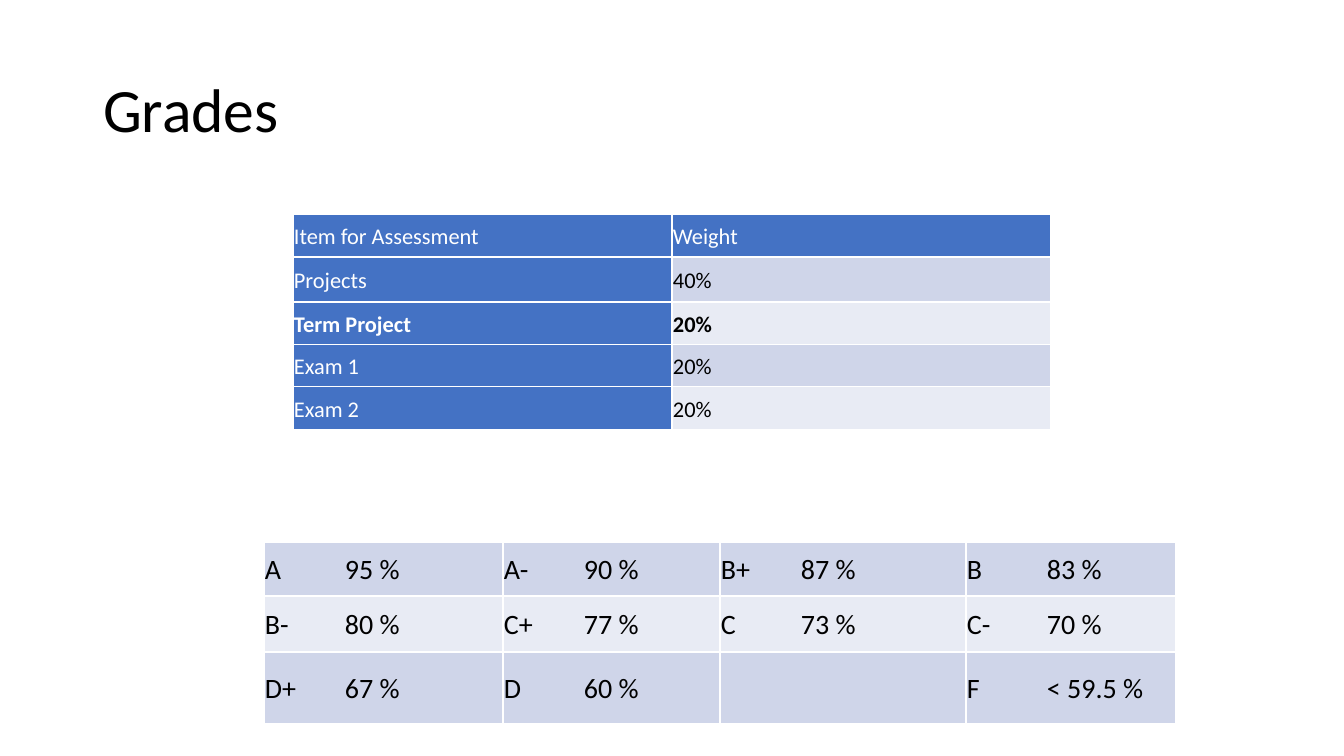
from lxml import etree
from pptx import Presentation
from pptx import util as u
from pptx.dml.color import RGBColor
from pptx.enum import text

# Content
TITLE = "Grades"
CUTOFFS = [
    [("A", "95 %"), ("A-", "90 %"), ("B+", "87 %"), ("B", "83 %")],
    [("B-", "80 %"), ("C+", "77 %"), ("C", "73 %"), ("C-", "70 %")],
    [("D+", "67 %"), ("D", "60 %"), (), ("F", "< 59.5 %")],
]
WEIGHTS = [
    ("Item for Assessment", "Weight"),
    ("Projects", "40%"),
    ("Term Project", "20%"),
    ("Exam 1", "20%"),
    ("Exam 2", "20%"),
]
EMPHASIZED = "Term Project"

# Layout in px
SLIDE = (1344, 756)
TITLE_BOX = (93, 40, 1159, 146)
CUTOFF_AT, CUTOFF_COLS, CUTOFF_ROWS = (264, 542), (239, 217, 246, 210), (54, 56, 72)
WEIGHT_AT, WEIGHT_COLS, WEIGHT_ROWS = (293, 214), (379, 379), (43, 45, 43, 42, 43)
PERCENT_TAB = 80

FONT = "Calibri"
BLACK, WHITE, BLUE = "000000", "FFFFFF", "4472C4"
BANDS = ("CFD5E9", "E8EBF4")


def px(n):
    return u.Emu(round(n * 914400 / 100.8))


def color(value):
    return RGBColor.from_string(value)


def style(paragraph, size, ink, spacing, bold=False):
    paragraph.alignment = text.PP_ALIGN.LEFT
    paragraph.line_spacing = spacing
    font = paragraph.font
    font.name, font.size, font.bold = FONT, u.Pt(size), bold
    font.color.rgb = color(ink)


def add_tab(paragraph, position):
    ns = "{http://schemas.openxmlformats.org/drawingml/2006/main}"
    tabs = etree.Element(ns + "tabLst")
    etree.SubElement(tabs, ns + "tab", pos=str(position), algn="l")
    paragraph.font  # creates the default run properties that must follow the tabs
    paragraph._p.pPr.find(ns + "defRPr").addprevious(tabs)


def add_grid(slide, at, cols, rows):
    frame = slide.shapes.add_table(len(rows), len(cols), *map(px, (*at, sum(cols), sum(rows))))
    grid = frame.table
    grid.first_row = grid.horz_banding = False
    for column, width in zip(grid.columns, cols):
        column.width = px(width)
    for row, height in zip(grid.rows, rows):
        row.height = px(height)
    return grid


def fill_cell(cell, words, size, fill, ink=BLACK, bold=False):
    cell.margin_left = cell.margin_right = px(1)
    cell.margin_top = cell.margin_bottom = px(5)
    cell.vertical_anchor = text.MSO_ANCHOR.MIDDLE
    cell.fill.solid()
    cell.fill.fore_color.rgb = color(fill)
    paragraph = cell.text_frame.paragraphs[0]
    paragraph.text = words
    style(paragraph, size, ink, 1.07, bold)
    return paragraph


def main():
    deck = Presentation()
    deck.slide_width, deck.slide_height = map(px, SLIDE)
    slide = deck.slides.add_slide(deck.slide_layouts[5])

    # Title
    title = slide.shapes.title
    title.left, title.top, title.width, title.height = map(px, TITLE_BOX)
    title.text_frame.text = TITLE
    title.text_frame.vertical_anchor = text.MSO_ANCHOR.MIDDLE
    style(title.text_frame.paragraphs[0], 44, BLACK, 0.9)

    # Letter grade cutoffs
    cutoffs = add_grid(slide, CUTOFF_AT, CUTOFF_COLS, CUTOFF_ROWS)
    for r, row in enumerate(CUTOFFS):
        for c, grade in enumerate(row):
            paragraph = fill_cell(cutoffs.cell(r, c), "\t".join(grade), 20, BANDS[r % 2])
            if grade:
                add_tab(paragraph, px(PERCENT_TAB))

    # Assessment weights: blue header row and first column
    weights = add_grid(slide, WEIGHT_AT, WEIGHT_COLS, WEIGHT_ROWS)
    for r, row in enumerate(WEIGHTS):
        for c, words in enumerate(row):
            heading = r == 0 or c == 0
            fill = BLUE if heading else BANDS[(r - 1) % 2]
            ink = WHITE if heading else BLACK
            fill_cell(weights.cell(r, c), words, 16, fill, ink, row[0] == EMPHASIZED)

    deck.save("out.pptx")


if __name__ == "__main__":
    main()
